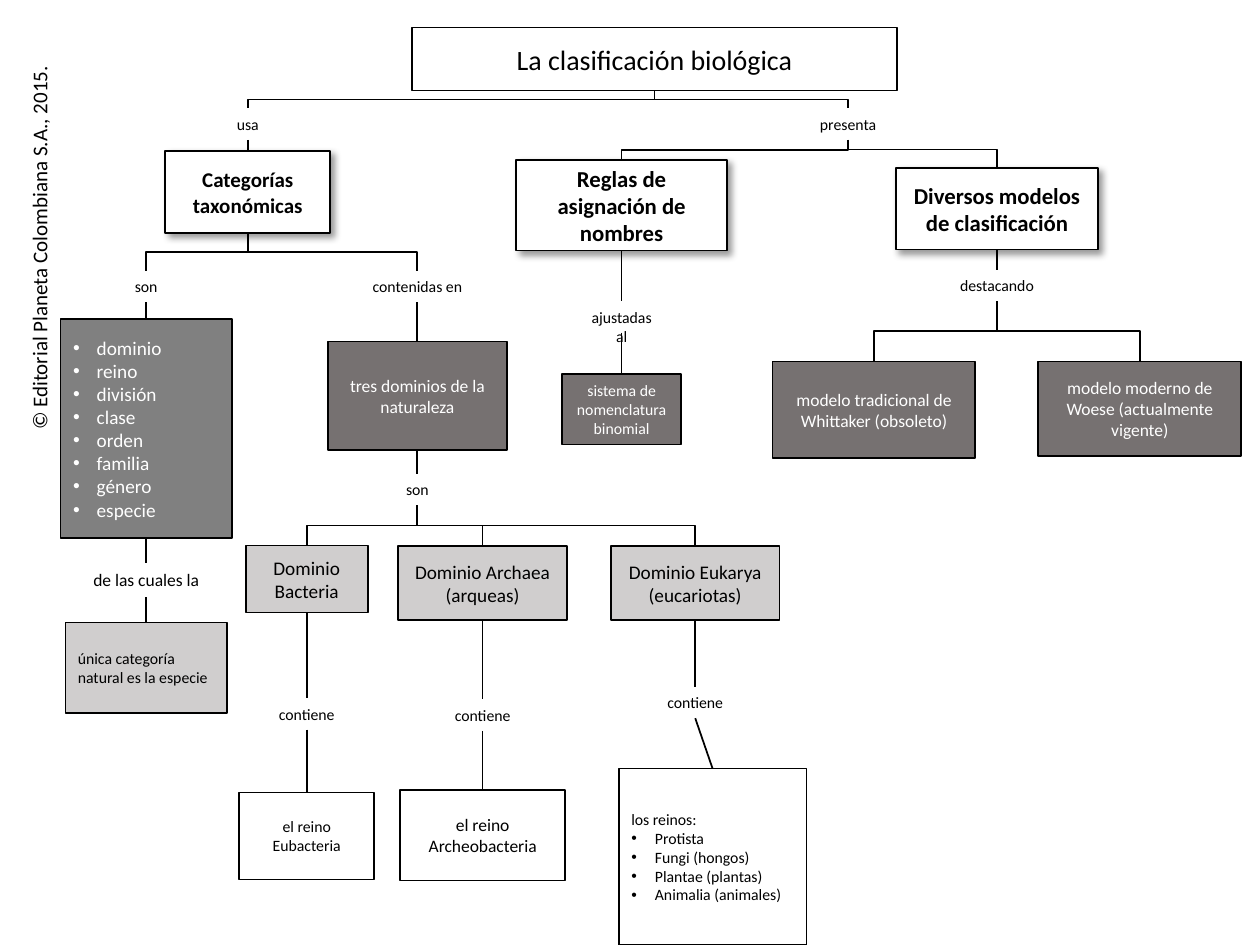
from dataclasses import dataclass

from lxml.etree import SubElement
from pptx import Presentation
from pptx.dml.color import RGBColor
from pptx.enum.shapes import MSO_CONNECTOR, MSO_SHAPE
from pptx.enum.text import MSO_ANCHOR, MSO_AUTO_SIZE, PP_ALIGN
from pptx.oxml.ns import qn
from pptx.util import Pt

COLORS = {
    "black": "000000",
    "white": "FFFFFF",
    "dark": "767171",
    "gray": "808080",
    "light": "D0CECE",
}
FONT = "Calibri"
BOTTOM, TOP = 2, 0
BULLET_INDENT = 13.5

# Centres of the columns of the concept map
SPECIES, BACTERIA, DOMAINS, ARCHAEA = 83.5, 175.3, 238.5, 275.8
RULES, EUKARYA, PRESENTS, MODELS = 355.2, 397.3, 484.6, 569.7
CATEGORIES, TITLE = 141.6, 374


@dataclass
class Node:
    """A box, or a linking phrase when it has no fill."""
    center: float
    top: float
    width: float
    height: float
    text: str
    size: float = 9
    fill: str = ""
    color: str = "black"
    bold: bool = False
    align: PP_ALIGN = PP_ALIGN.CENTER
    placeholder: int = -1
    bulleted_from: int = 99


@dataclass
class Link:
    start: str
    end: str
    bend: float = 0.5


NODES = {
    "title": Node(TITLE, 15.8, 277.2, 36, "La clasificación biológica", 16, "white",
                  placeholder=0),
    # Main concepts
    "categories": Node(CATEGORIES, 86.4, 94.3, 46.8, "Categorías taxonómicas", 12, "white",
                       bold=True),
    "rules": Node(RULES, 91.4, 120.2, 51.8, "Reglas de asignación de nombres", 13, "white",
                  bold=True),
    "models": Node(MODELS, 95.8, 115.2, 46.8, "Diversos modelos de clasificación", 13, "white",
                   bold=True),
    # Details
    "ranks": Node(SPECIES, 182.2, 97.9, 125.3,
                  "dominio\nreino\ndivisión\nclase\norden\nfamilia\ngénero\nespecie",
                  11, "gray", "white", align=PP_ALIGN.LEFT, placeholder=1, bulleted_from=0),
    "species": Node(SPECIES, 355.7, 92.2, 51.8, "única categoría natural es la especie",
                    9, "light", align=PP_ALIGN.LEFT),
    "domains": Node(DOMAINS, 195.1, 102.2, 61.9, "tres dominios de la naturaleza",
                    10, "dark", "white"),
    "binomial": Node(RULES, 213.8, 67.7, 40.3, "sistema de nomenclatura binomial",
                     9, "dark", "white"),
    "traditional": Node(499.4, 206.6, 115.9, 55.4, "modelo tradicional de Whittaker (obsoleto)",
                        10, "dark", "white"),
    "modern": Node(651.3, 206.6, 115.9, 54, "modelo moderno de Woese (actualmente vigente)",
                   10, "dark", "white"),
    # Domains and kingdoms
    "bacteria": Node(BACTERIA, 311.8, 69.8, 38.2, "Dominio Bacteria", 11, "light"),
    "archaea": Node(ARCHAEA, 311.8, 96.5, 42.5, "Dominio Archaea (arqueas)", 11, "light"),
    "eukarya": Node(EUKARYA, 311.8, 96.5, 42.5, "Dominio Eukarya (eucariotas)", 11, "light"),
    "eubacteria": Node(BACTERIA, 452.9, 77, 49.7, "el reino Eubacteria", 9, "white"),
    "archeobacteria": Node(ARCHAEA, 451.4, 94.3, 51.8, "el reino Archeobacteria", 10, "white"),
    "kingdoms": Node(407.2, 439.2, 107.3, 100.8,
                     "los reinos:\nProtista\nFungi (hongos)\nPlantae (plantas)\n"
                     "Animalia (animales)",
                     9, "white", align=PP_ALIGN.LEFT, placeholder=2, bulleted_from=1),
    # Linking phrases
    "uses": Node(CATEGORIES, 61.9, 27.4, 18, "usa"),
    "presents": Node(PRESENTS, 61.9, 47.5, 18, "presenta"),
    "are ranks": Node(SPECIES, 154.8, 27.4, 18, "son"),
    "contained": Node(DOMAINS, 154.8, 66.2, 18, "contenidas en"),
    "adjusted": Node(RULES, 172.1, 56.9, 18, "ajustadas al"),
    "highlighting": Node(MODELS, 154.1, 56.9, 18, "destacando"),
    "are domains": Node(DOMAINS, 270.7, 27.4, 18, "son"),
    "of which": Node(SPECIES, 321.8, 75.6, 19.4, "de las cuales la", 10),
    "bacteria has": Node(BACTERIA, 398.9, 50.4, 18, "contiene"),
    "archaea has": Node(ARCHAEA, 399.6, 46.8, 18, "contiene"),
    "eukarya has": Node(EUKARYA, 392.4, 46.8, 18, "contiene"),
}

# Each chain runs straight down from node to node
CHAINS = [
    ("uses", "categories"),
    ("are ranks", "ranks", "of which", "species"),
    ("contained", "domains", "are domains"),
    ("rules", "adjusted", "binomial"),
    ("models", "highlighting"),
    ("bacteria", "bacteria has", "eubacteria"),
    ("archaea", "archaea has", "archeobacteria"),
    ("eukarya", "eukarya has", "kingdoms"),
]
BRANCHES = [
    Link("title", "uses"), Link("title", "presents"),
    Link("presents", "rules"), Link("presents", "models", 0.35),
    Link("categories", "are ranks"), Link("categories", "contained"),
    Link("highlighting", "traditional"), Link("highlighting", "modern"),
    Link("are domains", "bacteria"), Link("are domains", "archaea"),
    Link("are domains", "eukarya"),
]


def rgb(name: str) -> RGBColor:
    return RGBColor.from_string(COLORS[name])


def write_text(shape, node: Node) -> None:
    frame = shape.text_frame
    frame.text = node.text
    frame.word_wrap = bool(node.fill)
    frame.auto_size = MSO_AUTO_SIZE.NONE if node.fill else MSO_AUTO_SIZE.SHAPE_TO_FIT_TEXT
    frame.vertical_anchor = MSO_ANCHOR.MIDDLE if node.fill else MSO_ANCHOR.TOP
    for index, paragraph in enumerate(frame.paragraphs):
        paragraph.alignment = node.align
        paragraph.space_before = Pt(0)
        properties = paragraph._p.get_or_add_pPr()
        bulleted = index >= node.bulleted_from
        indent = Pt(BULLET_INDENT) if bulleted else 0
        properties.set("marL", str(indent))
        properties.set("indent", str(-indent))
        if bulleted:
            SubElement(properties, qn("a:buFont"), typeface="Arial")
            SubElement(properties, qn("a:buChar"), char="•")
        else:
            SubElement(properties, qn("a:buNone"))
        paragraph.font.name = FONT
        paragraph.font.size = Pt(node.size)
        paragraph.font.bold = node.bold
        paragraph.font.color.rgb = rgb(node.color)


def add_shadow(shape) -> None:
    effects = shape._element.spPr.find(qn("a:effectLst"))
    shadow = SubElement(effects, qn("a:outerShdw"), blurRad=str(Pt(4)), dist=str(Pt(3)),
                        dir="2700000", algn="tl", rotWithShape="0")
    color = SubElement(shadow, qn("a:srgbClr"), val=COLORS["black"])
    SubElement(color, qn("a:alpha"), val="40000")


def add_node(slide, node: Node):
    bounds = [Pt(value) for value in
              (node.center - node.width / 2, node.top, node.width, node.height)]
    if node.placeholder >= 0:
        shape = slide.placeholders[node.placeholder]
        shape.left, shape.top, shape.width, shape.height = bounds
    elif node.fill:
        shape = slide.shapes.add_shape(MSO_SHAPE.RECTANGLE, *bounds)
        shape.shadow.inherit = False
    else:
        shape = slide.shapes.add_textbox(*bounds)
    if node.fill:
        shape.fill.solid()
        shape.fill.fore_color.rgb = rgb(node.fill)
        shape.line.color.rgb = rgb("black")
        shape.line.width = Pt(1)
    if node.bold:
        add_shadow(shape)
    write_text(shape, node)
    return shape


def add_line(slide, kind: MSO_CONNECTOR):
    connector = slide.shapes.add_connector(kind, 0, 0, 0, 0)
    connector.line.color.rgb = rgb("black")
    connector.line.width = Pt(1)
    SubElement(connector._element.spPr, qn("a:effectLst"))
    return connector


def add_branch(slide, link: Link) -> None:
    """Draw an elbow that leaves downwards: a quarter turn of the usual one."""
    start, end = NODES[link.start], NODES[link.end]
    start_y = start.top + start.height
    across, down = end.center - start.center, end.top - start_y
    connector = add_line(slide, MSO_CONNECTOR.ELBOW)
    connector.left = Pt((start.center + end.center - down) / 2)
    connector.top = Pt((start_y + end.top - abs(across)) / 2)
    connector.width, connector.height = Pt(down), Pt(abs(across))
    properties = connector._element.spPr
    transform = properties.find(qn("a:xfrm"))
    transform.set("rot", "16200000" if across > 0 else "5400000")
    transform.set("flipH", "1" if across > 0 else "0")
    adjustments = properties.find(qn("a:prstGeom")).find(qn("a:avLst"))
    SubElement(adjustments, qn("a:gd"), name="adj1", fmla=f"val {round(link.bend * 100000)}")


def main() -> None:
    presentation = Presentation()
    presentation.slide_width, presentation.slide_height = Pt(720), Pt(540)
    slide = presentation.slides.add_slide(presentation.slide_layouts[3])

    # Copyright line along the left edge
    notice = add_node(slide, Node(22.3, 131, 224.6, 21.6,
                                  "© Editorial Planeta Colombiana S.A., 2015.", 12))
    notice.rotation = 270

    # Boxes and phrases, then the lines between them
    shapes = {name: add_node(slide, node) for name, node in NODES.items()}
    for chain in CHAINS:
        for start, end in zip(chain, chain[1:]):
            connector = add_line(slide, MSO_CONNECTOR.STRAIGHT)
            connector.begin_connect(shapes[start], BOTTOM)
            connector.end_connect(shapes[end], TOP)
    for link in BRANCHES:
        add_branch(slide, link)

    presentation.save("out.pptx")


if __name__ == "__main__":
    main()
